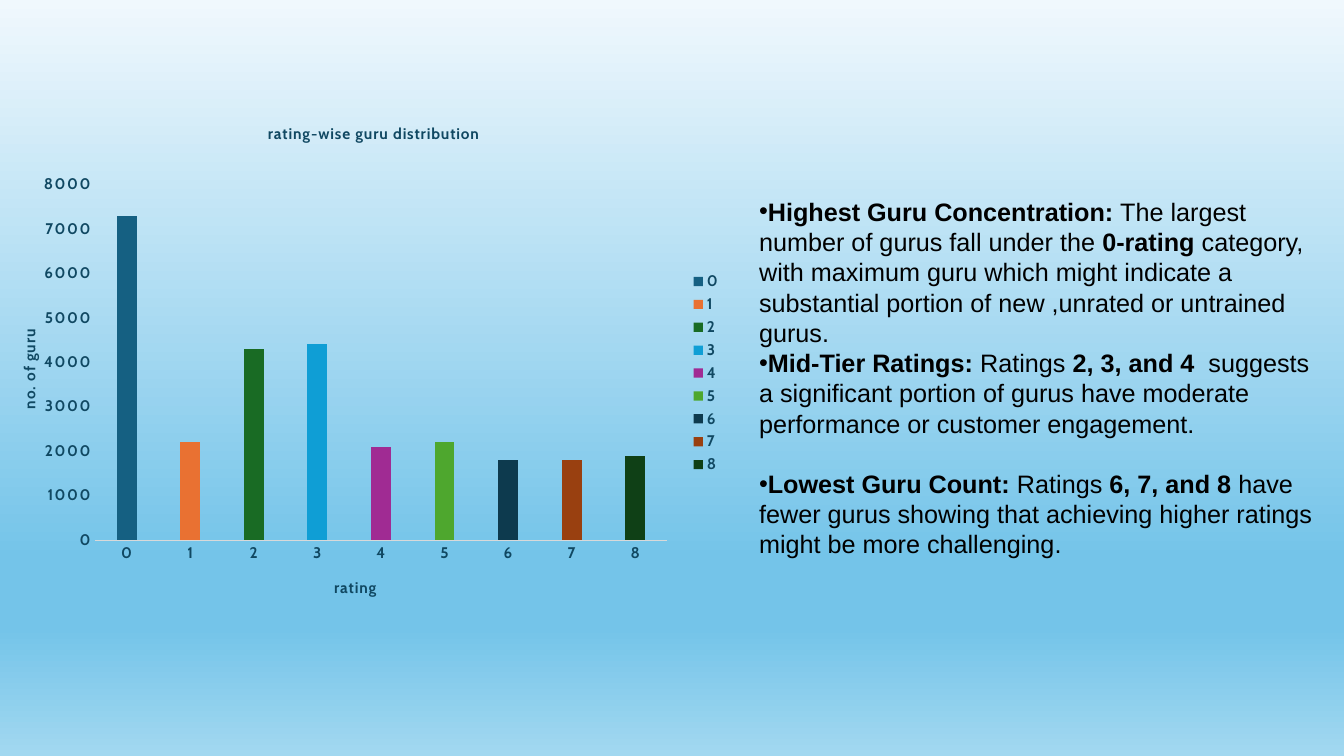
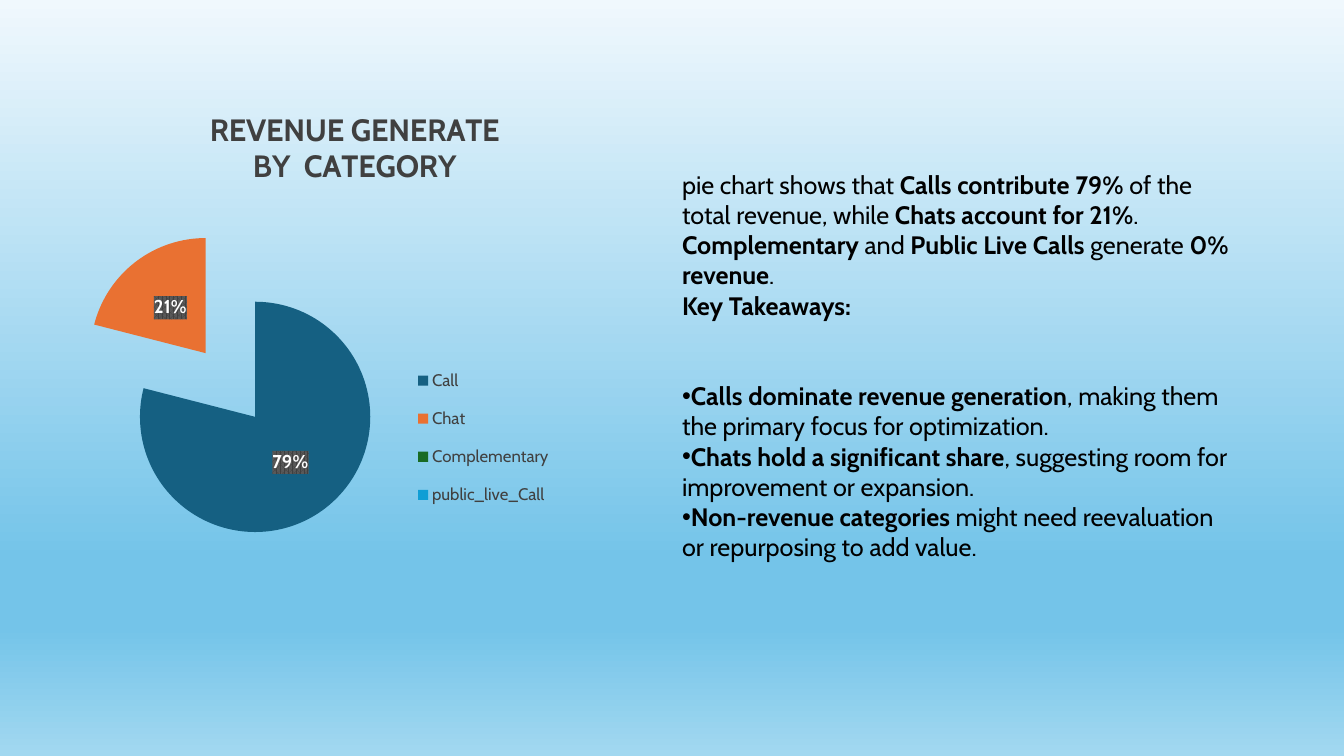
"""Two slides pairing a chart with its findings: guru ratings and revenue by category."""
from lxml import etree
from pptx import Presentation
from pptx.chart.data import CategoryChartData
from pptx.dml.color import RGBColor
from pptx.enum.chart import XL_CHART_TYPE, XL_LABEL_POSITION, XL_LEGEND_POSITION, XL_TICK_MARK
from pptx.enum.text import MSO_ANCHOR, MSO_AUTO_SIZE
from pptx.oxml import parse_xml
from pptx.oxml.ns import nsdecls, qn
from pptx.util import Pt

COLUMN = XL_CHART_TYPE.COLUMN_CLUSTERED
PIE = XL_CHART_TYPE.PIE
NO_TICK = XL_TICK_MARK.NONE
LEGEND_RIGHT = XL_LEGEND_POSITION.RIGHT
LABEL_CENTER = XL_LABEL_POSITION.CENTER
TOP = MSO_ANCHOR.TOP
NO_FIT = MSO_AUTO_SIZE.NONE

COLORS = {"text": "000000", "navy": "104862", "gray": "404040", "stripe": "595959",
          "axis": "D9D9D9", "white": "FFFFFF"}
BACKGROUND_STOPS = [(0, "F0F8FD"), (74, "74C4E9"), (83, "74C4E9"), (100, "A2D8F0")]
SERIES_COLORS = ["156082", "E97132", "196B24", "0F9ED5", "A02B93", "4EA72E",
                 "0D3A4E", "994010", "0F4016"]
FONT = "Cabin"
LINE = 21.6


def style_font(font, size, color, bold=False, name=FONT):
    font.name = name
    font.size = Pt(size)
    font.bold = bold
    font.color.rgb = RGBColor.from_string(COLORS[color])


def place_part(element, index, **fractions):
    for old_layout in element.findall(qn("c:layout")):
        element.remove(old_layout)
    layout = etree.Element(qn("c:layout"))
    manual = etree.SubElement(layout, qn("c:manualLayout"))
    if index == 0:
        etree.SubElement(manual, qn("c:layoutTarget")).set("val", "inner")
    for side in ("x", "y"):
        etree.SubElement(manual, qn(f"c:{side}Mode")).set("val", "edge")
    for key, value in fractions.items():
        etree.SubElement(manual, qn(f"c:{key}")).set("val", str(value))
    element.insert(index, layout)


presentation = Presentation()
presentation.slide_width = Pt(960)
presentation.slide_height = Pt(540)

master = presentation.slide_master
master.background.fill.gradient()
master.background.fill.gradient_angle = 270
stop_list = master.element.find(f".//{qn('p:bg')}//{qn('a:gsLst')}")
for stop in list(stop_list):
    stop_list.remove(stop)
for position, color in BACKGROUND_STOPS:
    stop = etree.SubElement(stop_list, qn("a:gs"), pos=str(position * 1000))
    etree.SubElement(stop, qn("a:srgbClr"), val=color)

# Each paragraph: bulleted, space before, then runs alternating plain and bold.
SLIDES = [
    {
        "type": COLUMN,
        "chart_box": (11.5, 74, 511, 385),
        "title": "rating-wise guru distribution",
        "title_style": (11, "navy", True),
        "legend_style": (11, "navy", True),
        "categories": [str(rating) for rating in range(9)],
        "values": [7300, 2200, 4300, 4400, 2100, 2200, 1800, 1800, 1900],
        "plot": {"x": 0.11, "y": 0.15, "w": 0.8, "h": 0.66},
        "text_box": (535, 136.5, 414, 290),
        "text_font": "Arial",
        "paragraphs": [
            (True, 0, ["", "Highest Guru Concentration:",
                       " The largest number of gurus fall under the ", "0-rating",
                       " category, with maximum guru which might indicate a substantial "
                       "portion of new ,unrated or untrained gurus."]),
            (True, 0, ["", "Mid-Tier Ratings:", " Ratings ", "2, 3, and 4",
                       "  suggests a significant portion of gurus have moderate "
                       "performance or customer engagement."]),
            (True, LINE, ["", "Lowest Guru Count:", " Ratings ", "6, 7, and 8",
                          " have fewer gurus showing that achieving higher ratings "
                          "might be more challenging."]),
        ],
    },
    {
        "type": PIE,
        "chart_box": (46, 69, 376.5, 358.5),
        "title": "REVENUE GENERATE\nBY  CATEGORY",
        "title_style": (22, "gray", True),
        "legend_style": (12, "gray", False),
        "categories": ["Call", "Chat", "Complementary", "public_live_Call"],
        "values": [79, 21, 0, 0],
        "plot": {"x": 0.02, "y": 0.26, "w": 0.59, "h": 0.63},
        "text_box": (480, 117, 408, 312),
        "text_font": FONT,
        "paragraphs": [
            (False, 0, ["pie chart shows that ", "Calls contribute 79%",
                        " of the total revenue, while ", "Chats account for 21%", ". ",
                        "Complementary", " and ", "Public Live Calls", " generate ",
                        "0% revenue", "."]),
            (False, 0, ["", "Key Takeaways:"]),
            (True, 2 * LINE, ["", "Calls dominate revenue generation",
                              ", making them the primary focus for optimization."]),
            (True, 0, ["", "Chats hold a significant share",
                       ", suggesting room for improvement or expansion."]),
            (True, 0, ["", "Non-revenue categories",
                       " might need reevaluation or repurposing to add value."]),
        ],
    },
]

for content in SLIDES:
    slide = presentation.slides.add_slide(presentation.slide_layouts[1])
    title = slide.shapes.title
    title.element.getparent().remove(title.element)

    data = CategoryChartData()
    data.categories = content["categories"]
    data.add_series("Series 1", content["values"])
    chart_box = [Pt(length) for length in content["chart_box"]]
    chart = slide.shapes.add_chart(content["type"], *chart_box, data).chart
    style_font(chart.font, 10, "text")
    chart.has_title = True
    chart.chart_title.include_in_layout = False
    chart.chart_title.text_frame.text = content["title"]
    for paragraph in chart.chart_title.text_frame.paragraphs:
        for run in paragraph.runs:
            style_font(run.font, *content["title_style"])
    chart.has_legend = True
    chart.legend.position = LEGEND_RIGHT
    chart.legend.include_in_layout = False
    style_font(chart.legend.font, *content["legend_style"])
    place_part(chart.element.find(f".//{qn('c:plotArea')}"), 0, **content["plot"])

    plot = chart.plots[0]
    plot.vary_by_categories = True
    series = plot.series[0]
    for index in range(len(content["values"])):
        fill = series.points[index].format.fill
        fill.solid()
        fill.fore_color.rgb = RGBColor.from_string(SERIES_COLORS[index])

    if content["type"] == COLUMN:
        plot.gap_width = 219
        plot.overlap = -27
        for axis, axis_title in ((chart.category_axis, "rating"),
                                 (chart.value_axis, "no. of guru")):
            axis.has_major_gridlines = False
            axis.major_tick_mark = axis.minor_tick_mark = NO_TICK
            style_font(axis.tick_labels.font, 11, "navy", True)
            axis.axis_title.text_frame.text = axis_title
            style_font(axis.axis_title.text_frame.paragraphs[0].runs[0].font, 11, "navy", True)
        chart.category_axis.format.line.color.rgb = RGBColor.from_string(COLORS["axis"])
        chart.category_axis.format.line.width = Pt(0.75)
        chart.value_axis.format.line.fill.background()
        chart.value_axis.minimum_scale = 0
        chart.value_axis.maximum_scale = 8000
        chart.value_axis.major_unit = 1000
        chart.value_axis.axis_title.element.find(f".//{qn('a:bodyPr')}").set("rot", "-5400000")
        for tag, spacing in (("a:defRPr", "100"), ("a:rPr", "50")):
            for properties in chart.element.iter(qn(tag)):
                properties.set("spc", spacing)
    else:
        place_part(chart.chart_title.element, 1, x=0.27, y=0.02)
        place_part(chart.legend.element if hasattr(chart.legend, "element")
                   else chart.element.find(f".//{qn('c:legend')}"),
                   1, x=0.65, y=0.51, w=0.29, h=0.34)
        explosion = etree.Element(qn("c:explosion"), val="35")
        chart.element.find(f".//{qn('c:dPt')}").addprevious(explosion)
        labels = series.data_labels
        labels.show_value = False
        labels.show_percentage = True
        labels.number_format = "0%"
        labels.number_format_is_linked = False
        labels.position = LABEL_CENTER
        style_font(labels.font, 13.3, "white", True)
        label_fill = parse_xml(
            f'<c:spPr {nsdecls("c", "a")}><a:pattFill prst="pct75">'
            f'<a:fgClr><a:srgbClr val="{COLORS["gray"]}"/></a:fgClr>'
            f'<a:bgClr><a:srgbClr val="{COLORS["stripe"]}"/></a:bgClr>'
            '</a:pattFill></c:spPr>')
        chart.element.find(f".//{qn('c:dLbls')}/{qn('c:txPr')}").addprevious(label_fill)

    body = slide.placeholders[1]
    body.left, body.top, body.width, body.height = [Pt(length) for length in content["text_box"]]
    text_frame = body.text_frame
    text_frame.word_wrap = True
    text_frame.auto_size = NO_FIT
    text_frame.vertical_anchor = TOP
    for number, (bulleted, gap, parts) in enumerate(content["paragraphs"]):
        paragraph = text_frame.add_paragraph() if number else text_frame.paragraphs[0]
        properties = paragraph._p.get_or_add_pPr()
        properties.set("marL", "0")
        properties.set("indent", "0")
        if bulleted:
            etree.SubElement(properties, qn("a:buFont"), typeface="Arial")
            etree.SubElement(properties, qn("a:buChar"), char="•")
        else:
            etree.SubElement(properties, qn("a:buNone"))
        paragraph.line_spacing = Pt(LINE)
        paragraph.space_before = Pt(gap)
        for index, text in enumerate(parts):
            if text:
                run = paragraph.add_run()
                run.text = text
                style_font(run.font, 18, "text", index % 2 == 1, content["text_font"])

presentation.save("out.pptx")
